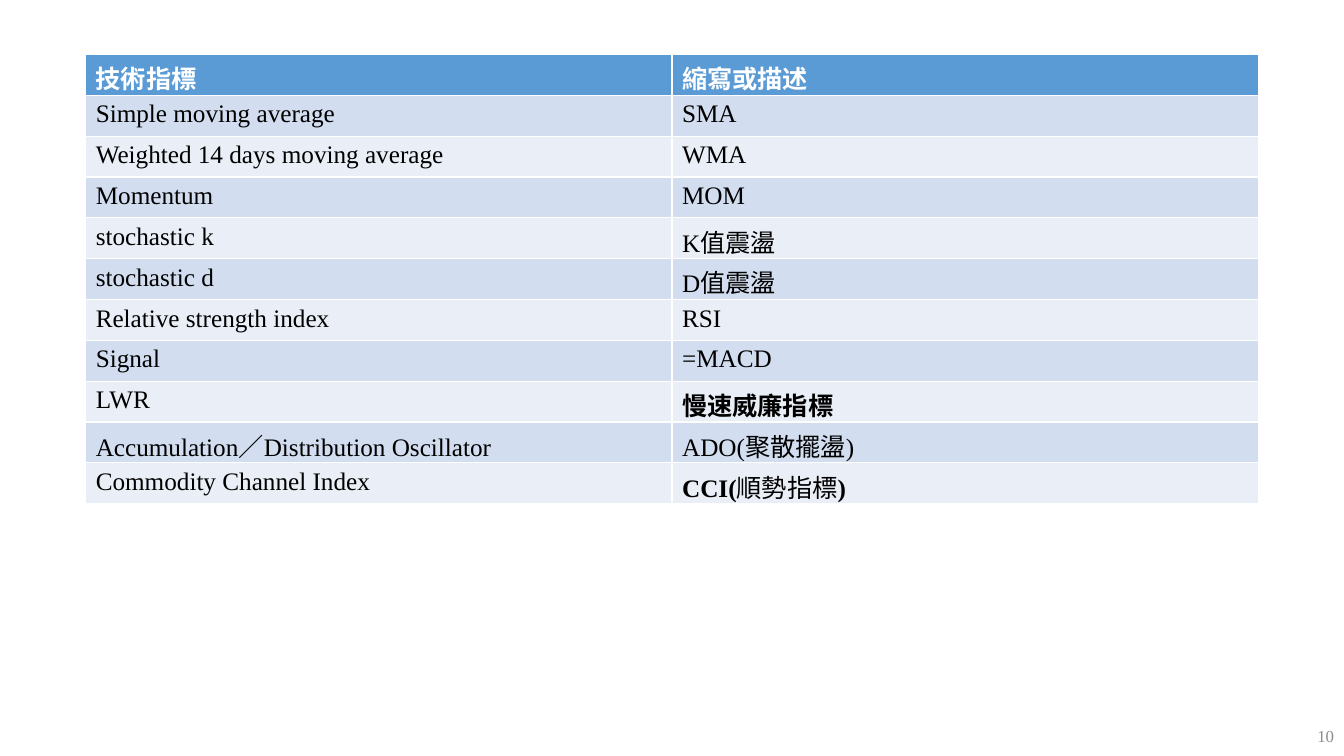
import pptx
import pptx.util
import pptx.dml.color
import pptx.enum.text

Inches = pptx.util.Inches
COLORS = {
    "header": "5B9BD5",
    "band_dark": "D2DEEF",
    "band_light": "EAEFF7",
    "header_text": "FFFFFF",
    "body_text": "000000",
    "page_number": "8C8C8C",
}
FONT = "Times New Roman"

# Each row: indicator, then its abbreviation or description
INDICATORS = [
    ("技術指標", "縮寫或描述"),
    ("Simple moving average", "SMA"),
    ("Weighted 14 days moving average", "WMA"),
    ("Momentum", "MOM"),
    ("stochastic k", "K值震盪"),
    ("stochastic d", "D值震盪"),
    ("Relative strength index", "RSI"),
    ("Signal", "=MACD"),
    ("LWR", "慢速威廉指標"),
    ("Accumulation／Distribution Oscillator", "ADO(聚散擺盪)"),
    ("Commodity Channel Index", ("CCI(", "順勢指標", ")")),
]
BOLD_TEXTS = {"技術指標", "縮寫或描述", "慢速威廉指標", "CCI(", ")"}


def rgb(name):
    return pptx.dml.color.RGBColor.from_string(COLORS[name])


def style_run(run, size, color, bold=False):
    run.font.name = FONT
    run.font.size = pptx.util.Pt(size)
    run.font.bold = bold
    run.font.color.rgb = rgb(color)


presentation = pptx.Presentation()
presentation.slide_width = Inches(13.33)
presentation.slide_height = Inches(7.5)
slide = presentation.slides.add_slide(presentation.slide_layouts[6])

# Page number
page_number = slide.shapes.add_textbox(Inches(10.33), Inches(7.1), Inches(3), Inches(0.4))
page_frame = page_number.text_frame
page_frame.word_wrap = True
page_frame.vertical_anchor = pptx.enum.text.MSO_ANCHOR.MIDDLE
page_frame.text = "10"
page_frame.paragraphs[0].alignment = pptx.enum.text.PP_ALIGN.RIGHT
style_run(page_frame.paragraphs[0].runs[0], 12, "page_number")

# Indicator table; the default table style supplies the white rules
indicator_table = slide.shapes.add_table(
    len(INDICATORS), 2, Inches(0.85), Inches(0.54), Inches(11.63), Inches(4.46)
).table

for row, entries in enumerate(INDICATORS):
    if row == 0:
        fill, text_color = "header", "header_text"
    else:
        fill = "band_dark" if row % 2 else "band_light"
        text_color = "body_text"
    for column, entry in enumerate(entries):
        cell = indicator_table.cell(row, column)
        cell.fill.solid()
        cell.fill.fore_color.rgb = rgb(fill)
        parts = (entry,) if isinstance(entry, str) else entry
        for part in parts:
            run = cell.text_frame.paragraphs[0].add_run()
            run.text = part
            style_run(run, 18, text_color, part in BOLD_TEXTS)

presentation.save("out.pptx")
